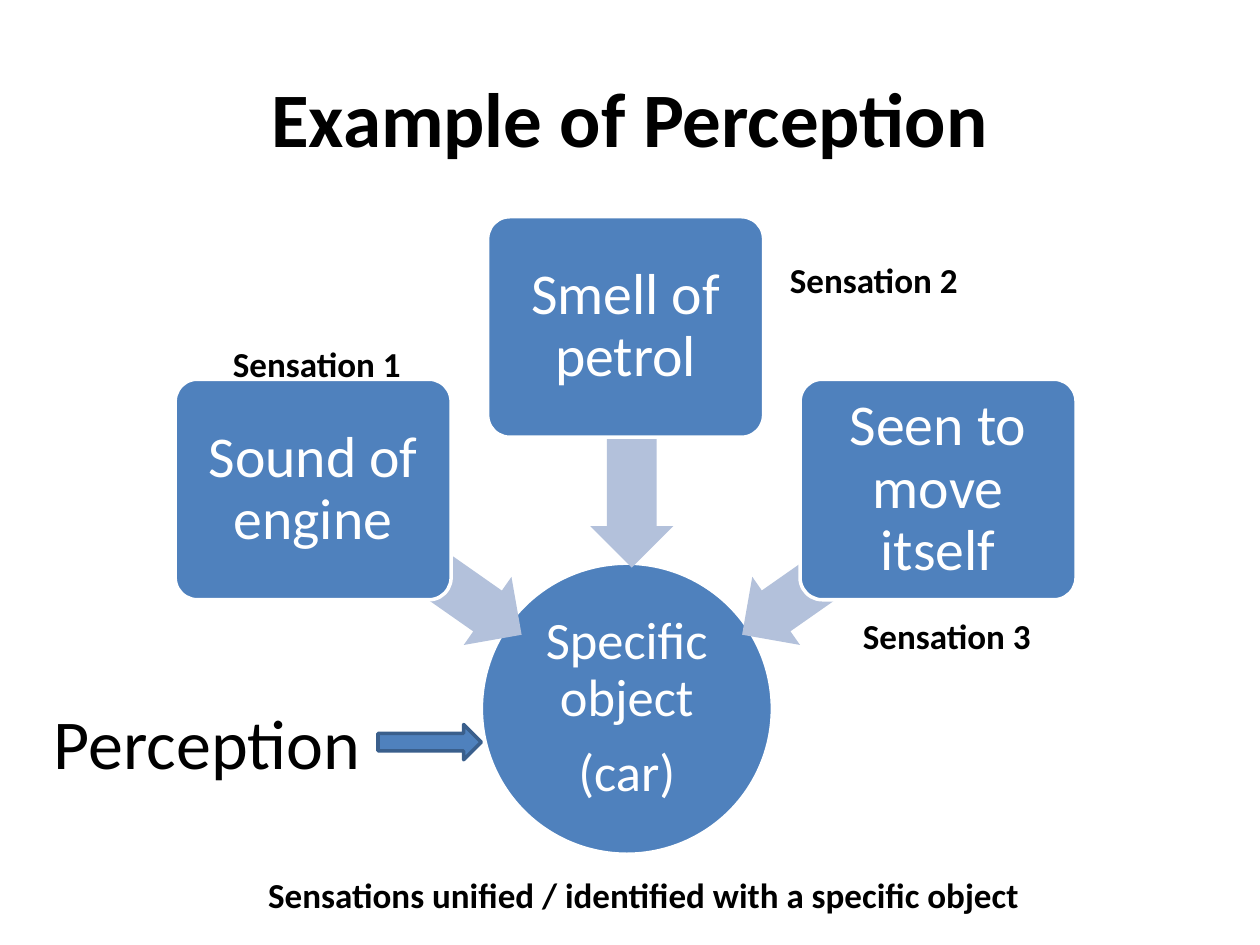
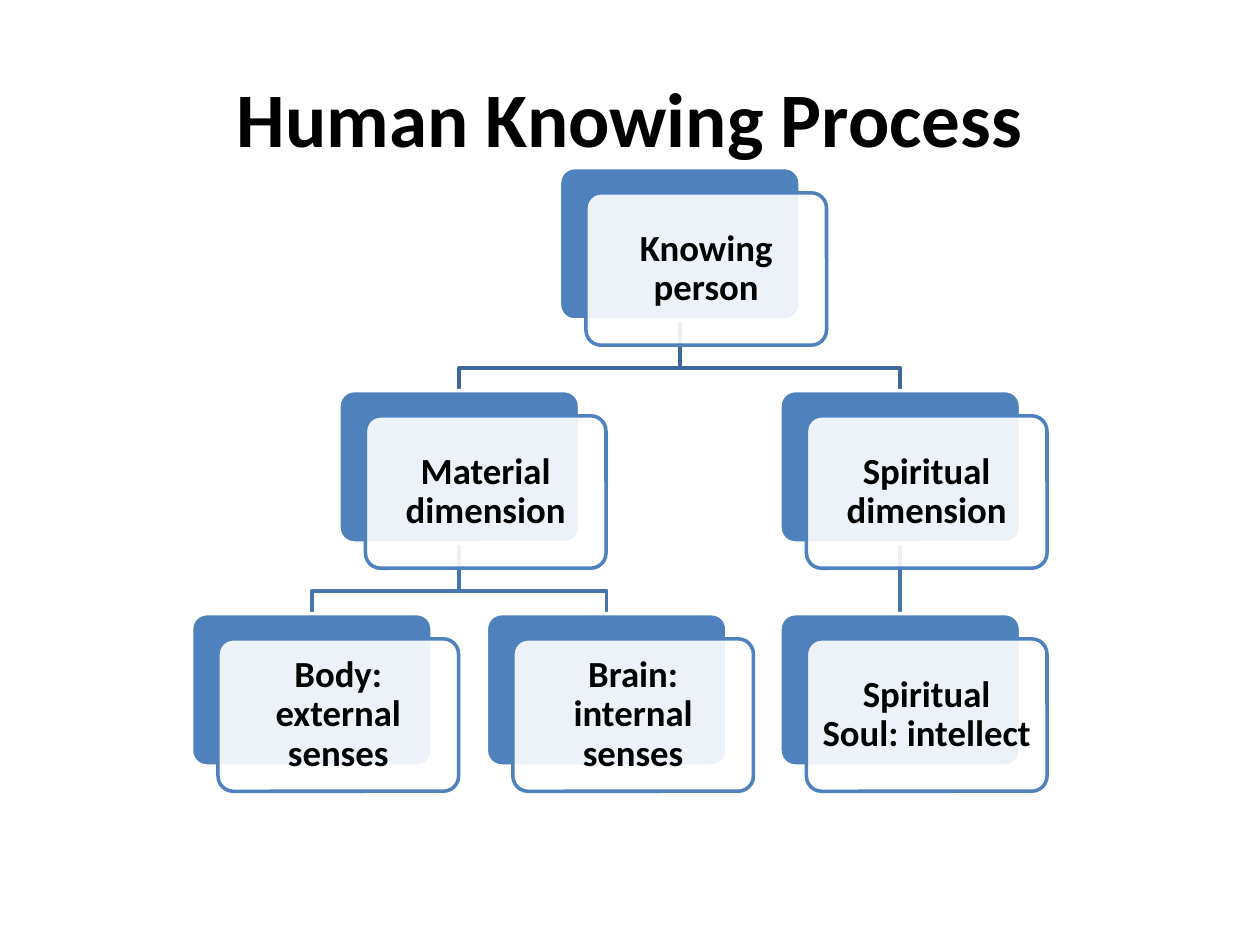
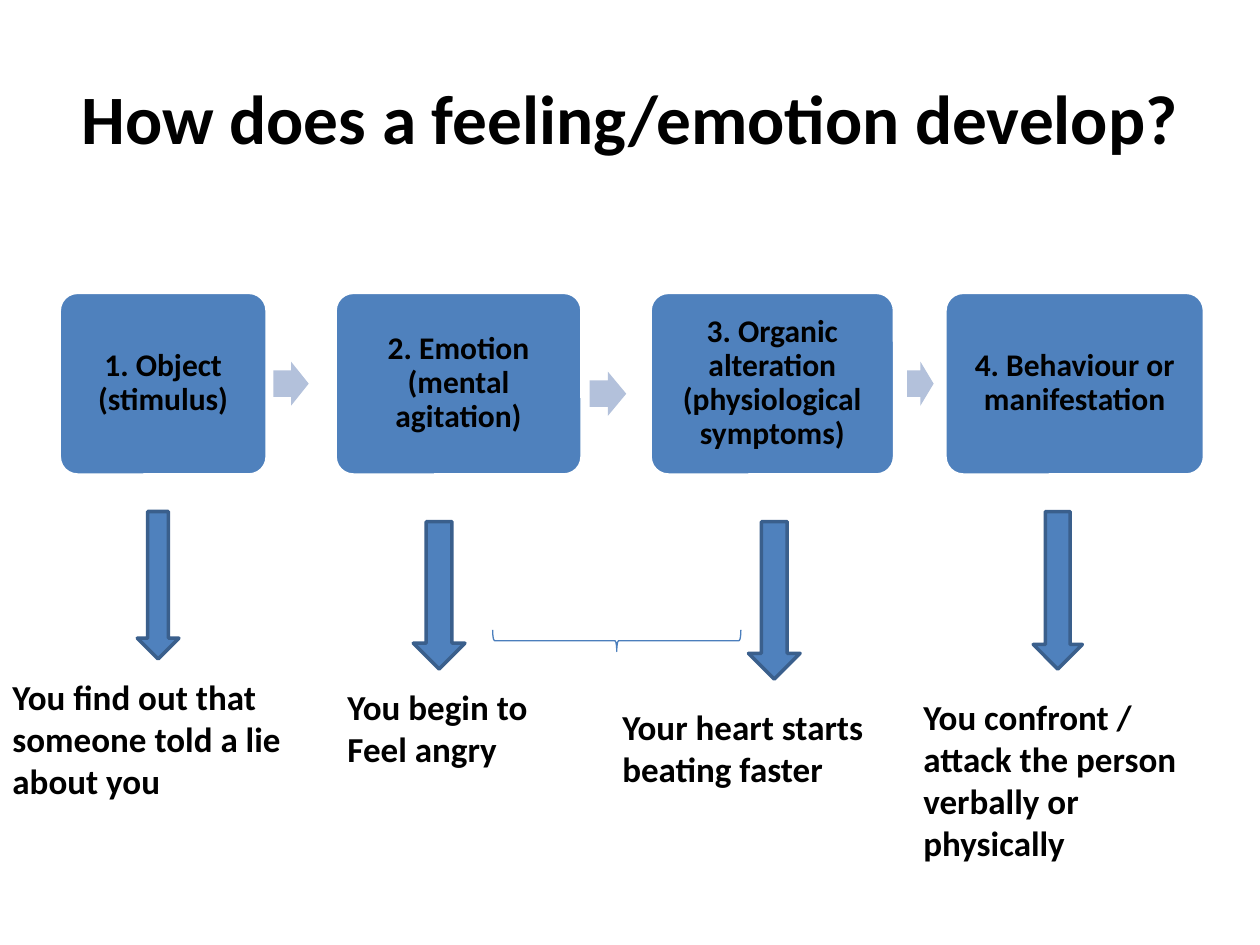
import dataclasses

import lxml.etree
import pptx
import pptx.dml.color
import pptx.enum.shapes
import pptx.enum.text
import pptx.oxml.ns
import pptx.util

Inches = pptx.util.Inches
Pt = pptx.util.Pt
Shape = pptx.enum.shapes.MSO_SHAPE
Align = pptx.enum.text.PP_ALIGN
qn = pptx.oxml.ns.qn


@dataclasses.dataclass(frozen=True)
class Theme:
    font: str = "Calibri"
    black: str = "000000"
    white: str = "FFFFFF"
    blue: str = "4F81BD"
    dark_blue: str = "3A5F8C"
    pale_blue: str = "B3C1DB"
    brace: str = "4B7EBC"
    upper_branch: str = "3F6797"
    lower_branch: str = "4875AC"
    title: float = 44
    long_title: float = 39.6
    headline: float = 40
    sense: float = 33
    object: float = 30
    card: float = 21
    label: float = 20
    step: float = 18
    line: float = 2


class Builder:
    def __init__(self, theme):
        self.theme = theme
        self.deck = pptx.Presentation()
        self.deck.slide_width = Inches(10)
        self.deck.slide_height = Inches(7.5)
        self.page = None

    def color(self, value):
        return pptx.dml.color.RGBColor.from_string(value)

    def add_page(self, title, size):
        self.page = self.deck.slides.add_slide(self.deck.slide_layouts[5])
        box = self.page.shapes.title
        box.left, box.top, box.width, box.height = map(Inches, (0.5, 0.3, 9, 1.25))
        self.set_text(box, [title], size, bold=True, align=Align.CENTER)
        box.text_frame.vertical_anchor = pptx.enum.text.MSO_ANCHOR.MIDDLE

    def set_text(self, box, lines, size, color=None, bold=False, align=Align.LEFT,
                 spacing=None, gap=0):
        frame = box.text_frame
        frame.word_wrap = True
        for index, line in enumerate(lines):
            para = frame.paragraphs[0] if index == 0 else frame.add_paragraph()
            para.text = line
            para.alignment = align
            para.font.name = self.theme.font
            para.font.size = Pt(size)
            para.font.bold = bold
            para.font.color.rgb = self.color(color or self.theme.black)
            if spacing:
                para.line_spacing = spacing
            if gap and index < len(lines) - 1:
                para.space_after = Pt(gap)

    def style_line(self, item, color, width=None):
        item.line.color.rgb = self.color(color)
        item.line.width = Pt(width or self.theme.line)

    def shape(self, kind, at, fill=None, line=None, width=None, turn=0, adjust=()):
        item = self.page.shapes.add_shape(kind, *map(Inches, at))
        item.shadow.inherit = False
        item.rotation = turn
        for index, value in enumerate(adjust):
            item.adjustments[index] = value
        if fill:
            item.fill.solid()
            item.fill.fore_color.rgb = self.color(fill)
        else:
            item.fill.background()
        if line:
            self.style_line(item, line, width)
        else:
            item.line.fill.background()
        return item

    def fill_text(self, item, lines, size, color, bold, margin):
        frame = item.text_frame
        frame.margin_left = frame.margin_right = Inches(margin)
        frame.margin_top = frame.margin_bottom = Inches(margin)
        frame.vertical_anchor = pptx.enum.text.MSO_ANCHOR.MIDDLE
        self.set_text(item, lines, size, color, bold, Align.CENTER, 0.9, size * 0.35)

    def block(self, at, text, size, color, bold=False):
        item = self.shape(Shape.ROUNDED_RECTANGLE, at, self.theme.blue,
                          self.theme.white, adjust=[0.1])
        self.fill_text(item, [text], size, color, bold, 0.07)

    def circle(self, at, lines):
        item = self.shape(Shape.OVAL, at, self.theme.blue, self.theme.white)
        self.fill_text(item, lines, self.theme.object, self.theme.white, False, 0.02)

    def card(self, left, top, width, height, text):
        self.shape(Shape.ROUNDED_RECTANGLE, (left, top, width, height),
                   self.theme.blue, self.theme.white, adjust=[0.1])
        front = self.shape(Shape.ROUNDED_RECTANGLE, (left + 0.21, top + 0.2, width, height),
                           self.theme.white, self.theme.blue, adjust=[0.1])
        tint = front._element.spPr.find(qn("a:solidFill"))[0]
        lxml.etree.SubElement(tint, qn("a:alpha")).set("val", "90000")
        self.fill_text(front, [text], self.theme.card, self.theme.black, True, 0.08)

    def pale_arrow(self, kind, at, turn=0):
        self.shape(kind, at, self.theme.pale_blue, turn=turn, adjust=[0.6, 0.5])

    def strong_arrow(self, kind, at):
        self.shape(kind, at, self.theme.blue, self.theme.dark_blue)

    def branch(self, start, end, color):
        (x1, y1), (x2, y2) = start, end
        if x1 == x2:
            item = self.page.shapes.add_connector(
                pptx.enum.shapes.MSO_CONNECTOR.STRAIGHT, *map(Inches, (x1, y1, x2, y2)))
            self.style_line(item, color)
            lxml.etree.SubElement(item._element.spPr, qn("a:effectLst"))
        else:
            bend = y2 - 0.18
            points = [(Inches(x), Inches(y)) for x, y in ((x1, bend), (x2, bend), (x2, y2))]
            outline = self.page.shapes.build_freeform(Inches(x1), Inches(y1))
            outline.add_line_segments(points, close=False)
            item = outline.convert_to_shape()
            item.shadow.inherit = False
            item.fill.background()
            self.style_line(item, color)

    def label(self, at, lines, size=None, bold=True):
        box = self.page.shapes.add_textbox(*map(Inches, at))
        self.set_text(box, lines, size or self.theme.label, bold=bold)


def perception_page(build):
    theme = build.theme
    build.add_page("Example of Perception", theme.title)
    build.circle((3.82, 4.47, 2.31, 2.31), ["Specific object", "(car)"])
    senses = [
        ("Sound of engine", 1.39, 3.01, 2.53, 4.2, 215),
        ("Smell of petrol", 3.87, 1.72, 4.13, 3.29, 270),
        ("Seen to move itself", 6.35, 3.01, 5.73, 4.2, 325),
    ]
    for text, left, top, arrow_left, arrow_top, turn in senses:
        build.pale_arrow(Shape.LEFT_ARROW, (arrow_left, arrow_top, 1.77, 0.66), turn)
        build.block((left, top, 2.19, 1.75), text, theme.sense, theme.white)
    for number, (left, top) in enumerate([(1.75, 2.67), (6.17, 2), (6.75, 4.83)], 1):
        build.label((left, top, 1.55, 0.44), [f"Sensation {number}"])
    build.label((2.03, 6.88, 6.22, 0.44),
                ["Sensations unified / identified with a specific object"])
    build.label((0.33, 5.5, 2.66, 0.77), ["Perception"], theme.headline, bold=False)
    build.strong_arrow(Shape.RIGHT_ARROW, (3, 5.75, 0.82, 0.28))


def knowing_page(build):
    theme = build.theme
    build.add_page("Human Knowing Process", theme.title)
    width, height = 1.91, 1.21
    tops = [1.33, 3.1, 4.87]
    cards = {
        "person": (4.44, 0, "Knowing person"),
        "material": (2.69, 1, "Material dimension"),
        "body": (1.52, 2, "Body: external senses"),
        "brain": (3.86, 2, "Brain: internal senses"),
        "spiritual": (6.19, 1, "Spiritual dimension"),
        "soul": (6.19, 2, "Spiritual\vSoul: intellect"),
    }
    branches = [("spiritual", "soul"), ("person", "spiritual"), ("material", "brain"),
                ("material", "body"), ("person", "material")]
    for parent, child in branches:
        parent_left, level, _ = cards[parent]
        child_left, child_level, _ = cards[child]
        build.branch((parent_left + width / 2, tops[level] + height),
                     (child_left + width / 2, tops[child_level]),
                     theme.lower_branch if level else theme.upper_branch)
    for left, level, text in cards.values():
        build.card(left, tops[level], width, height, text)


def emotion_page(build):
    theme = build.theme
    build.add_page("How does a feeling/emotion develop?", theme.long_title)
    steps = [
        (0.47, 1.65, "1. Object (stimulus)"),
        (2.66, 1.96, "2. Emotion (mental agitation)"),
        (5.16, 1.94, "3. Organic alteration (physiological symptoms)"),
        (7.5, 2.06, "4. Behaviour or manifestation"),
    ]
    for left, width, text in steps:
        build.block((left, 2.32, width, 1.45), text, theme.step, theme.black, bold=True)
    for left, top, width in [(2.17, 2.87, 0.28), (4.68, 2.95, 0.29), (7.2, 2.87, 0.21)]:
        build.pale_arrow(Shape.RIGHT_ARROW, (left, top, width, 0.35))
    build.shape(Shape.RIGHT_BRACE, (4.81, 4.1, 0.17, 1.97), line=theme.brace,
                width=0.75, turn=90)
    examples = [
        ((0, 5.31, 2.65, 1.11), ["You find out that", "someone told a lie", "about you"]),
        ((2.66, 5.39, 1.96, 0.77), ["You begin to", "Feel angry"]),
        ((4.84, 5.55, 2.42, 0.77), ["Your heart starts", "beating faster"]),
        ((7.23, 5.47, 2.77, 1.45),
         ["You confront /", "attack the person", "verbally or", "physically"]),
    ]
    for at, lines in examples:
        build.label(at, lines)
    for at in [(1.09, 4.06, 0.33, 1.17), (8.2, 4.06, 0.39, 1.25),
               (5.94, 4.14, 0.41, 1.25), (3.28, 4.14, 0.41, 1.17)]:
        build.strong_arrow(Shape.DOWN_ARROW, at)


build = Builder(Theme())
perception_page(build)
knowing_page(build)
emotion_page(build)
build.deck.save("out.pptx")
